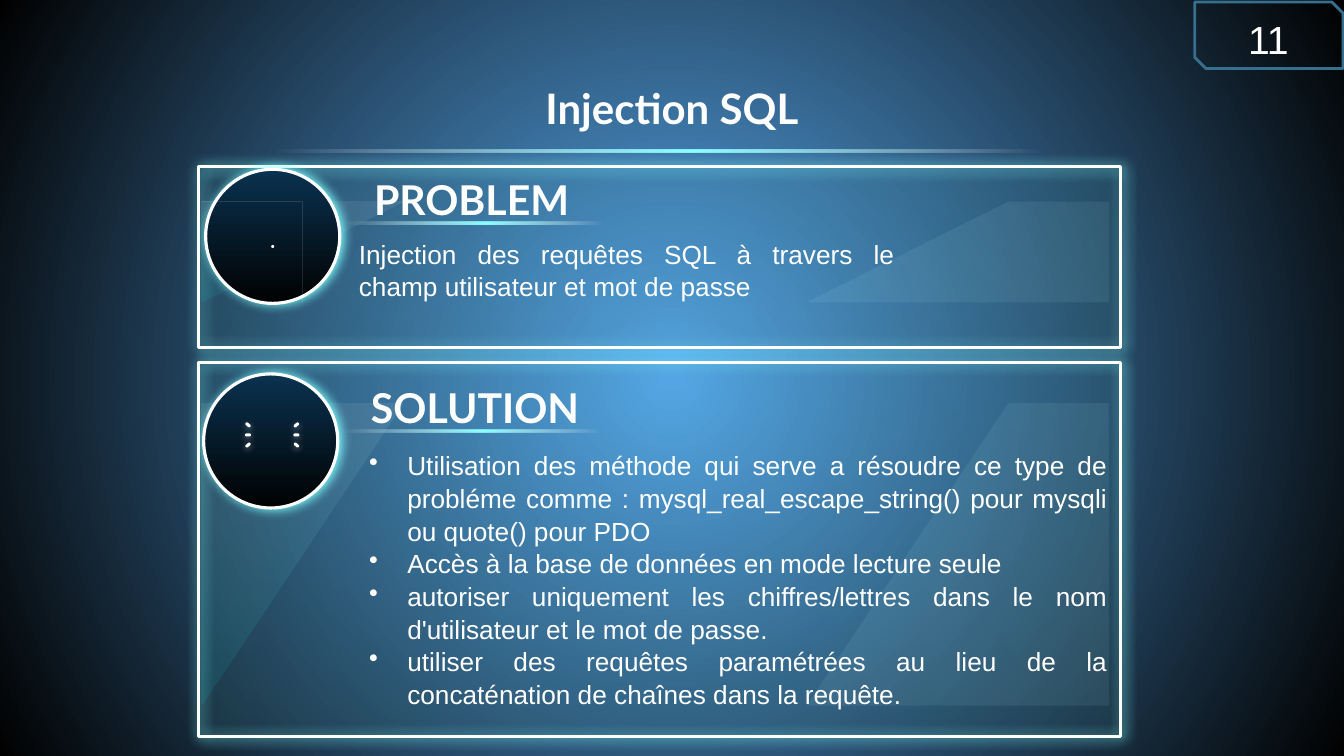
import math

import pptx
import pptx.dml.color
import pptx.enum.shapes
import pptx.enum.text
import pptx.oxml
import pptx.oxml.ns
import pptx.util

Inches = pptx.util.Inches
Pt = pptx.util.Pt
SHAPE = pptx.enum.shapes.MSO_SHAPE
ALIGN = pptx.enum.text.PP_ALIGN
ANCHOR = pptx.enum.text.MSO_ANCHOR
qn = pptx.oxml.ns.qn
NS = pptx.oxml.ns.nsdecls("a")

NAVY = [(0, "0A3250", 100), (100, "010101", 100)]
GLASS = [(0, "0A3250", 8), (100, "010101", 8)]
CYAN_GLASS = [(0, "00FFFF", 8), (100, "FFFFFF", 8)]
GLOW_LINE = [(0, "FFFFFF", 0), (11, "FFFFFF", 0), (48, "8CFFFF", 100),
             (92, "FFFFFF", 0), (100, "FFFFFF", 0)]

# Icon outlines in hundredths of an inch around the icon's centre
BULB_BASE = ("M -11 21 L -11 22 C -11 24 -9 26 -7 27 C -7 30 -4 33 0 33 "
             "C 4 33 7 30 8 27 C 10 26 11 24 11 22 L 11 21")
BULB_GLASS = ("M 0 -14 C 7 -14 13 -8 13 -1 C 13 0 12 0 11 0 C 10 0 10 0 10 -1 "
              "C 10 -7 5 -11 0 -11 C -1 -11 -1 -11 -1 -12 C -1 -13 -1 -14 0 -14 "
              "M 0 -20 C -1 -20 -2 -20 -4 -20 C -11 -18 -17 -12 -18 -5 "
              "C -19 1 -18 7 -14 11 C -12 13 -11 15 -11 17 L 11 17 "
              "C 12 15 13 13 14 11 C 17 8 19 3 19 -1 C 19 -12 10 -20 0 -20")
QUESTION_HOOK = ("M 0 -17 C -4 -17 -9 -14 -9 -8 C -9 -7 -8 -6 -8 -6 "
                 "C -7 -6 -6 -7 -6 -8 C -6 -11 -3 -14 0 -14 C 4 -14 7 -11 7 -8 "
                 "C 7 -5 5 -3 3 -2 C 1 -1 0 1 -1 3 C -1 3 -1 4 -1 4 C 0 5 0 5 0 5 "
                 "C 1 5 2 4 2 4 C 2 2 3 1 5 1 C 8 -1 10 -4 10 -8 C 10 -14 5 -17 0 -17")
QUESTION_DISC = ("M 0 -20 C 7 -20 13 -14 13 -8 C 13 -3 10 1 6 3 C 5 4 5 4 5 5 "
                 "C 4 7 3 8 0 8 C 0 8 0 8 -1 8 C -3 7 -5 5 -4 2 C -3 -1 -1 -3 2 -5 "
                 "C 4 -6 4 -8 3 -10 C 2 -10 1 -11 0 -11 C -1 -11 -3 -10 -3 -8 "
                 "C -3 -5 -5 -3 -8 -3 C -10 -3 -12 -5 -12 -8 C -12 -14 -7 -20 0 -20 "
                 "M 0 11 C 3 11 5 13 5 16 C 5 19 3 21 0 21 C -3 21 -5 19 -5 16 "
                 "C -5 13 -3 11 0 11 "
                 "M 0 -26 C -14 -26 -26 -14 -26 0 C -26 15 -14 27 0 27 "
                 "C 15 27 27 15 27 0 C 27 -14 15 -26 0 -26")


def rgb(color):
    return pptx.dml.color.RGBColor.from_string(color)


def color_xml(color, alpha):
    return f'<a:srgbClr val="{color}"><a:alpha val="{alpha * 1000}"/></a:srgbClr>'


def paint_gradient(fill, element, stops, angle=None):
    """Linear gradient at an angle, or from the centre outwards without one."""
    fill.gradient()
    stop_list = "".join(f'<a:gs pos="{pos * 1000}">{color_xml(color, alpha)}</a:gs>'
                        for pos, color, alpha in stops)
    if angle is None:
        course = '<a:path path="circle"><a:fillToRect l="50000" t="50000" r="50000" b="50000"/></a:path>'
    else:
        course = f'<a:lin ang="{angle * 60000}" scaled="0"/>'
    default = next(element.iter(qn("a:gradFill")))
    default.getparent().replace(default, pptx.oxml.parse_xml(
        f'<a:gradFill {NS} rotWithShape="1"><a:gsLst>{stop_list}</a:gsLst>{course}</a:gradFill>'))


def style(shape, fill=None, angle=90, alpha=100, line=None, weight=2.25, glow=None):
    """fill is a colour or gradient stops; glow is (colour, alpha, blur, direction)."""
    shape.shadow.inherit = False
    if fill is None:
        shape.fill.background()
    elif isinstance(fill, str):
        shape.fill.solid()
        shape.fill.fore_color.rgb = rgb(fill)
        solid = next(shape.element.iter(qn("a:solidFill")))
        solid.replace(solid[0], pptx.oxml.parse_xml(
            color_xml(fill, alpha).replace("<a:srgbClr", f"<a:srgbClr {NS}", 1)))
    else:
        paint_gradient(shape.fill, shape.element, fill, angle)
    if line:
        shape.line.color.rgb = rgb(line)
        shape.line.width = Pt(weight)
    else:
        shape.line.fill.background()
    if glow:
        color, opacity, blur, direction = glow
        next(shape.element.iter(qn("a:effectLst"))).append(pptx.oxml.parse_xml(
            f'<a:outerShdw {NS} blurRad="{Pt(blur)}" dist="{Pt(1.5)}" dir="{direction * 60000}" '
            f'algn="bl" rotWithShape="0">{color_xml(color, opacity)}</a:outerShdw>'))


def add_preset(slide, kind, left, top, width, height, **look):
    shape = slide.shapes.add_shape(kind, Inches(left), Inches(top), Inches(width), Inches(height))
    style(shape, **look)
    return shape


def add_outline(slide, contours, **look):
    """Closed contours of points in inches, as one shape."""
    builder = slide.shapes.build_freeform(*contours[0][0], scale=Inches(1))
    for number, points in enumerate(contours):
        if number:
            builder.move_to(*points[0])
        builder.add_line_segments(points[1:], close=True)
    style(builder.convert_to_shape(), **look)


def add_icon_part(slide, center_x, center_y, outline):
    """Trace an outline of M, L and C commands, with curves as short segments."""
    contours = []
    for contour in outline.split("M")[1:]:
        points = []
        for command in contour.replace("L", "|").replace("C", "|").split("|"):
            numbers = [float(word) / 100 for word in command.split()]
            pairs = list(zip(numbers[::2], numbers[1::2]))
            if len(pairs) == 1:
                points += pairs
                continue
            curve = [points[-1]] + pairs
            for step in range(1, 9):
                t = step / 8
                weights = [math.comb(3, i) * t ** i * (1 - t) ** (3 - i) for i in range(4)]
                points.append(tuple(sum(w * p[axis] for w, p in zip(weights, curve))
                                    for axis in (0, 1)))
        contours.append([(center_x + x, center_y + y) for x, y in points])
    add_outline(slide, contours, fill="FFFFFF", glow=("FFFFFF", 50, 4.5, 90))


def add_text(slide, left, top, width, height, texts, size, font="Arial", bold=False,
             align=ALIGN.LEFT, anchor=ANCHOR.TOP, inset=0.13, spacing=1, bullets=False, wrap=True):
    box = slide.shapes.add_textbox(Inches(left), Inches(top), Inches(width), Inches(height))
    frame = box.text_frame
    frame.word_wrap = wrap
    frame.vertical_anchor = anchor
    frame.margin_left = frame.margin_right = Inches(inset)
    frame.margin_top = frame.margin_bottom = Inches(min(inset, 0.13))
    for number, text in enumerate(texts):
        paragraph = frame.add_paragraph() if number else frame.paragraphs[0]
        paragraph.text = text
        paragraph.alignment = align
        paragraph.line_spacing = spacing
        if bullets:
            properties = paragraph._p.get_or_add_pPr()
            properties.set("marL", str(Inches(0.38)))
            properties.set("indent", str(Inches(-0.38)))
            properties.append(pptx.oxml.parse_xml(f'<a:buChar {NS} char="•"/>'))
        paragraph.font.name = font
        paragraph.font.size = Pt(size)
        paragraph.font.bold = bold
        paragraph.font.color.rgb = rgb("FFFFFF")


def add_glow_line(slide, left, top, width):
    add_preset(slide, SHAPE.RECTANGLE, left, top, width, 0.03, fill=GLOW_LINE, angle=180)


def add_panel(slide, left, top, width, height):
    right, bottom = left + width, top + height
    add_preset(slide, SHAPE.RECTANGLE, left, top, width, height, fill=GLASS, line="FFFFFF",
               glow=("7EFFFF", 100, 9, 0))
    add_outline(slide, [[(left, top), (left, bottom), (left + 1.77, top)]],
                fill=CYAN_GLASS, angle=270)
    add_outline(slide, [[(right - 1.24, top), (right - 2.94, bottom), (right, bottom), (right, top)]],
                fill="C1FFFF", alpha=8)


def add_badge(slide, left, top):
    add_preset(slide, SHAPE.OVAL, left, top, 1.33, 1.33, fill=NAVY, line="FFFFFF",
               glow=("7EFFFF", 100, 7.9, 0))


def add_heading(slide, left, top, text):
    add_text(slide, left, top, 5.57, 0.84, [text], 29.3, "Lato", True, anchor=ANCHOR.MIDDLE)
    add_glow_line(slide, left - 0.4, top + 0.64, 3.15)


def add_problem(slide, left, top):
    add_panel(slide, left, top, 9.14, 1.8)
    add_badge(slide, left + 0.07, top + 0.03)
    add_heading(slide, left + 1.61, top - 0.09, "PROBLEM")
    add_text(slide, left + 1.46, top + 0.57, 5.57, 1.33,
             ["Injection des requêtes SQL à travers le champ utilisateur et mot de passe"],
             18.7, align=ALIGN.JUSTIFY, spacing=1.04)
    # Question mark
    x, y = left + 0.73, top + 0.64
    add_preset(slide, SHAPE.OVAL, x - 0.01, y + 0.14, 0.03, 0.03, fill="FFFFFF")
    for outline in (QUESTION_HOOK, QUESTION_DISC):
        add_icon_part(slide, x, y, outline)


def add_solution(slide, left, top):
    add_panel(slide, left, top, 9.14, 3.71)
    add_badge(slide, left + 0.05, top + 0.11)
    add_heading(slide, left + 1.58, top + 0.02, "SOLUTION")
    add_text(slide, left + 1.56, top + 0.72, 7.58, 2.97, [
        "Utilisation des méthode qui serve a résoudre ce type de probléme comme : "
        "mysql_real_escape_string() pour mysqli ou quote() pour PDO",
        "Accès à la base de données en mode lecture seule",
        "autoriser uniquement les chiffres/lettres dans le nom d'utilisateur et le mot de passe.",
        "utiliser des requêtes paramétrées au lieu de la concaténation de chaînes dans la requête.",
    ], 18.7, align=ALIGN.JUSTIFY, spacing=1.04, bullets=True)
    # Light bulb and its rays
    x, y = left + 0.73, top + 0.71
    for outline in (BULB_BASE, BULB_GLASS):
        add_icon_part(slide, x, y, outline)
    for side in (-1, 1):
        for level in (-1, 0, 1):
            ray = add_preset(slide, SHAPE.ROUNDED_RECTANGLE, x + side * 0.24 - 0.03,
                             y + level * 0.1 - 0.01, 0.06, 0.03, fill="FFFFFF",
                             glow=("FFFFFF", 50, 4.5, 90))
            ray.adjustments[0] = 0.5
            ray.rotation = side * level * 40


def add_title(slide, left, top):
    add_text(slide, left, top, 11.23, 0.84, ["Injection SQL"], 30, "Lato", True,
             ALIGN.CENTER, ANCHOR.MIDDLE)
    add_glow_line(slide, left + 0.92, top + 0.83, 9.39)


def add_page_number(slide, left, top):
    add_preset(slide, SHAPE.SNIP_2_DIAG_RECTANGLE, left, top, 1.47, 0.66, line="37708F", weight=2)
    add_text(slide, left + 0.43, top + 0.03, 0.64, 0.57, ["11"], 28, inset=0.1, wrap=False)


def main():
    deck = pptx.Presentation()
    deck.slide_width, deck.slide_height = Inches(13.33), Inches(7.5)
    slide = deck.slides.add_slide(deck.slide_layouts[6])
    paint_gradient(slide.background.fill, slide.element,
                   [(0, "58ABF1", 100), (100, "010101", 100)])
    add_title(slide, 1.05, 0.65)
    add_problem(slide, 1.97, 1.65)
    add_solution(slide, 1.97, 3.6)
    add_page_number(slide, 11.85, 0.02)
    deck.save("out.pptx")


if __name__ == "__main__":
    main()
